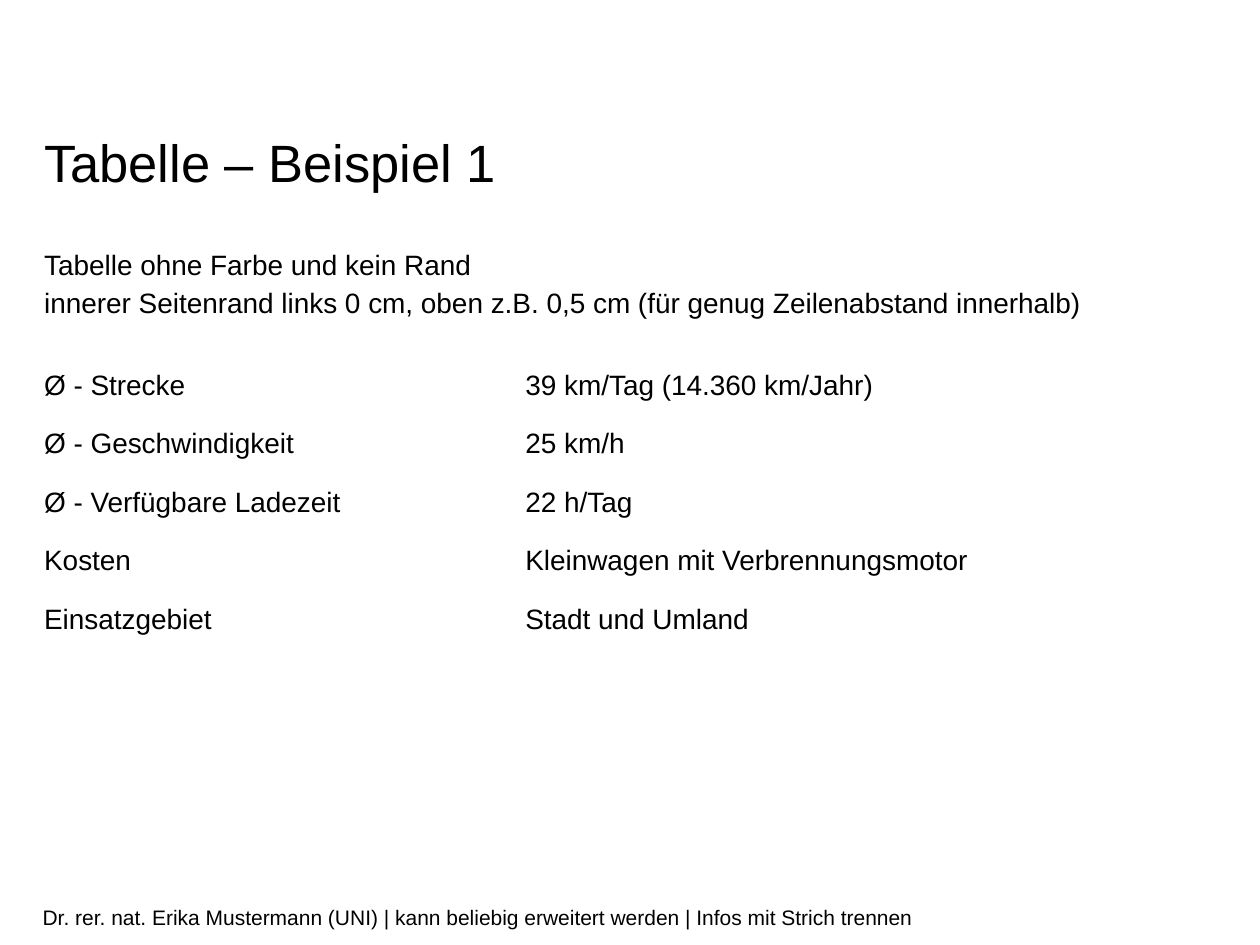
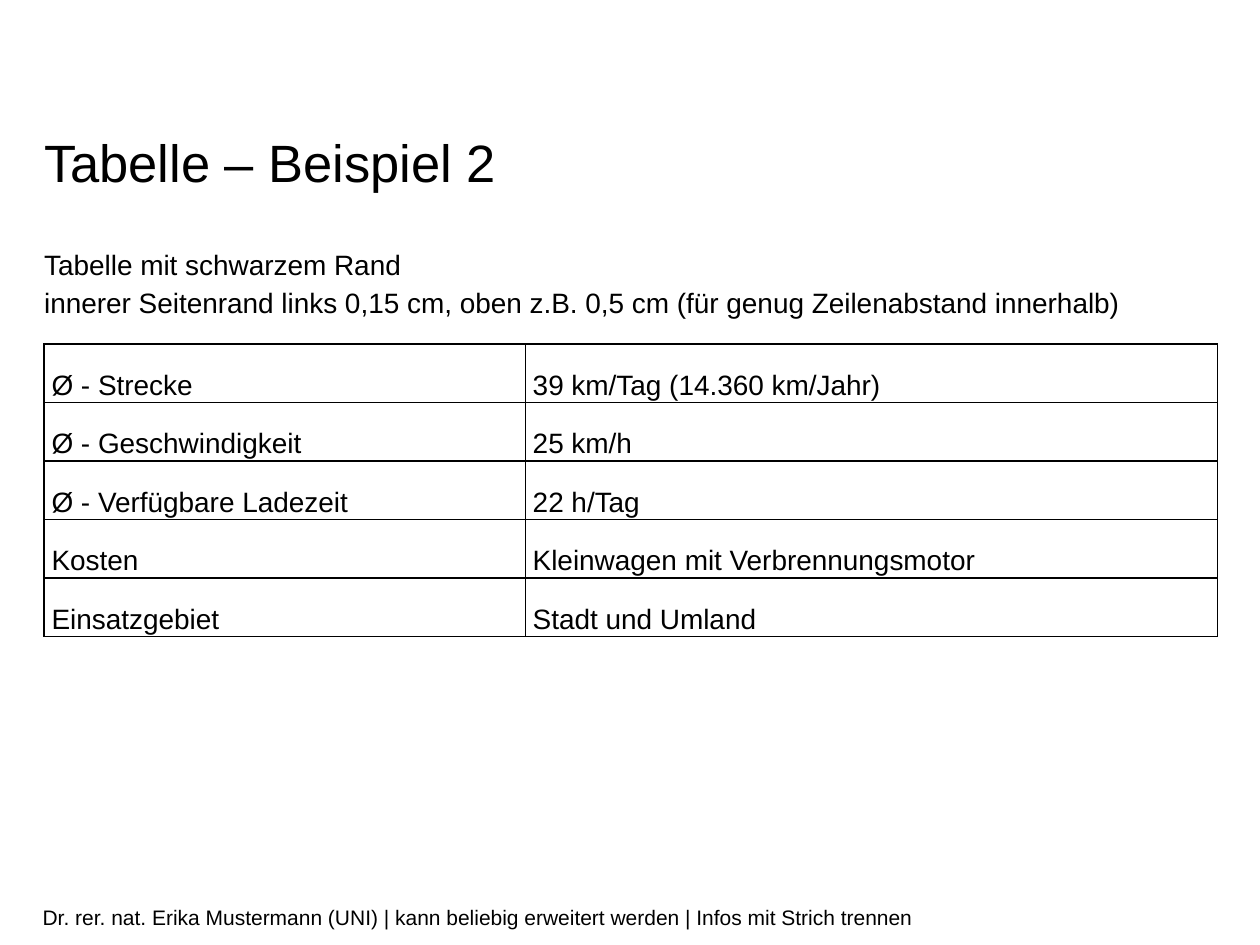
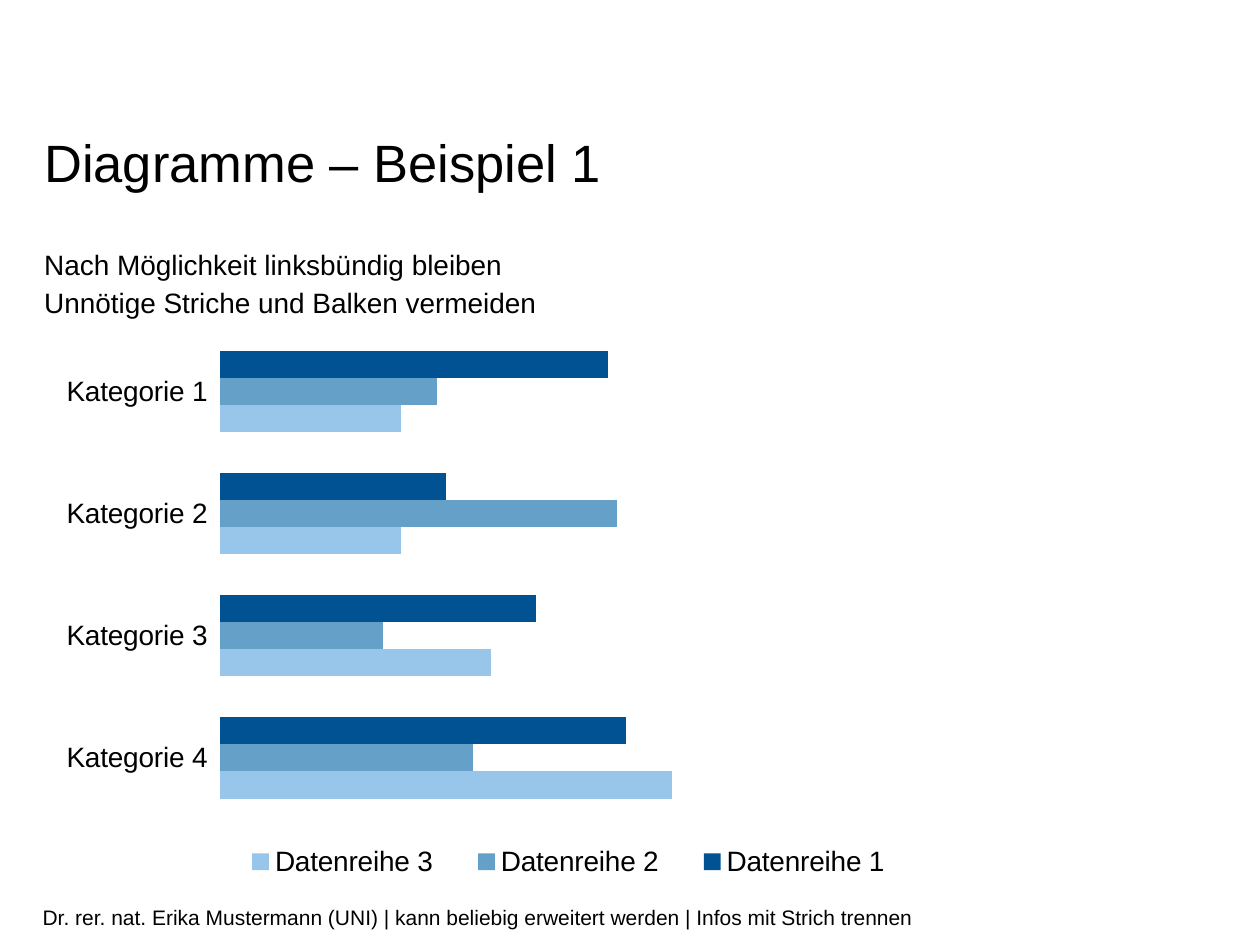
from lxml.etree import SubElement
from pptx import Presentation
from pptx.chart.data import CategoryChartData
from pptx.dml.color import RGBColor
from pptx.enum.chart import XL_CHART_TYPE as ChartType
from pptx.enum.chart import XL_LEGEND_POSITION as LegendPosition
from pptx.enum.chart import XL_TICK_MARK as TickMark
from pptx.enum.text import MSO_ANCHOR as Anchor
from pptx.enum.text import MSO_AUTO_SIZE as AutoSize
from pptx.enum.text import PP_ALIGN as Align
from pptx.oxml import parse_xml
from pptx.oxml.ns import nsdecls, qn
from pptx.util import Cm, Pt

# Content
FOOTER = "Dr. rer. nat. Erika Mustermann (UNI) | kann beliebig erweitert werden | Infos mit Strich trennen"
VEHICLE_ROWS = [
    ("Ø - Strecke", "39 km/Tag (14.360 km/Jahr)"),
    ("Ø - Geschwindigkeit", "25 km/h"),
    ("Ø - Verfügbare Ladezeit", "22 h/Tag"),
    ("Kosten", "Kleinwagen mit Verbrennungsmotor"),
    ("Einsatzgebiet", "Stadt und Umland"),
]
TABLE_SLIDES = [
    {
        "title": "Tabelle – Beispiel 1",
        "lines": ("Tabelle ohne Farbe und kein Rand",
                  "innerer Seitenrand links 0 cm, oben z.B. 0,5 cm (für genug Zeilenabstand innerhalb)"),
        "margin_left": 0,
        "border": None,
    },
    {
        "title": "Tabelle – Beispiel 2",
        "lines": ("Tabelle mit schwarzem Rand",
                  "innerer Seitenrand links 0,15 cm, oben z.B. 0,5 cm (für genug Zeilenabstand innerhalb)"),
        "margin_left": 0.15,
        "border": "000000",
    },
]
CHART_SLIDE = {
    "title": "Diagramme – Beispiel 1",
    "lines": ("Nach Möglichkeit linksbündig bleiben", "Unnötige Striche und Balken vermeiden"),
    "categories": [f"Kategorie {number}" for number in range(1, 5)],
    "series": [
        ("Datenreihe 1", (86, 50, 70, 90), "005293"),
        ("Datenreihe 2", (48, 88, 36, 56), "64A0C8"),
        ("Datenreihe 3", (40, 40, 60, 100), "98C6EA"),
    ],
}

# Shared style, lengths in centimetres
FONT, TEXT_COLOUR = "Arial", "000000"
TITLE_SIZE, BODY_SIZE, FOOTER_SIZE = 30, 16, 12
LEFT, WIDTH = 0.89, 23.65
TITLE_BOX = (LEFT, 2.77, WIDTH, 1.14)
BODY_BOX = (LEFT, 4.9, WIDTH, 1.98)
FOOTER_BOX = (0.86, 17.98, 17.96, 1.02)
TABLE_TOP, ROW_HEIGHT, COLUMN_WIDTHS = 6.93, 1.18, (9.7, 13.95)
CHART_BOX = (0.58, 6.63, WIDTH, 11.68)
# Fractions of the chart area: left, top, width, height
PLOT_LAYOUT = (0.163, 0.003, 0.462, 0.843)
LEGEND_LAYOUT = (0.16, 0.87, 0.6, 0.1)


def colour(hex_value):
    return RGBColor.from_string(hex_value)


def apply(target, values):
    for name, value in values.items():
        setattr(target, name, value)


def box(lengths):
    return [Cm(length) for length in lengths]


def style_font(font, size):
    apply(font, {"name": FONT, "size": Pt(size), "bold": False})
    font.color.rgb = colour(TEXT_COLOUR)


def write(shape, place, lines, size, frame_format, paragraph_format):
    """Place a text shape and fill it with one paragraph of broken lines."""
    apply(shape, dict(zip(("left", "top", "width", "height"), box(place))))
    frame = shape.text_frame
    apply(frame, {"word_wrap": True, "margin_left": 0, "margin_right": 0,
                  "margin_top": 0, "margin_bottom": 0, **frame_format})
    paragraph = frame.paragraphs[0]
    apply(paragraph, {"alignment": Align.LEFT, "space_before": Pt(0), **paragraph_format})
    for index, line in enumerate(lines):
        if index:
            paragraph.add_line_break()
        run = paragraph.add_run()
        run.text = line
        style_font(run.font, size)
    return paragraph


def add_slide(presentation, title, lines):
    """Add a slide with the shared title, introduction and footer."""
    slide = presentation.slides.add_slide(presentation.slide_layouts[1])
    write(slide.shapes.title, TITLE_BOX, [title], TITLE_SIZE,
          {"vertical_anchor": Anchor.TOP, "auto_size": AutoSize.SHAPE_TO_FIT_TEXT},
          {"line_spacing": Pt(32)})
    introduction = write(slide.placeholders[1], BODY_BOX, lines, BODY_SIZE,
                         {"vertical_anchor": Anchor.TOP, "auto_size": AutoSize.NONE},
                         {"line_spacing": 1.14})
    properties = introduction._p.get_or_add_pPr()
    properties.set("marL", "0")
    properties.set("indent", "0")
    SubElement(properties, qn("a:buNone"))
    footer = slide.shapes.add_textbox(*box(FOOTER_BOX))
    write(footer, FOOTER_BOX, [FOOTER], FOOTER_SIZE,
          {"vertical_anchor": Anchor.MIDDLE, "margin_top": Cm(0.13), "margin_bottom": Cm(0.13)}, {})
    return slide


def set_borders(cell, border):
    """Draw all four cell borders, or none."""
    line = f'<a:solidFill><a:srgbClr val="{border}"/></a:solidFill>' if border else "<a:noFill/>"
    properties = cell._tc.get_or_add_tcPr()
    for index, side in enumerate(("lnL", "lnR", "lnT", "lnB")):
        properties.insert(index, parse_xml(
            f'<a:{side} {nsdecls("a")} w="{Pt(1)}">{line}</a:{side}>'))


def add_vehicle_table(slide, margin_left, border):
    table = slide.shapes.add_table(
        len(VEHICLE_ROWS), len(COLUMN_WIDTHS),
        *box((LEFT, TABLE_TOP, WIDTH, ROW_HEIGHT * len(VEHICLE_ROWS)))).table
    apply(table, {"first_row": False, "horz_banding": False})
    for column, width in zip(table.columns, COLUMN_WIDTHS):
        column.width = Cm(width)
    for row, texts in zip(table.rows, VEHICLE_ROWS):
        row.height = Cm(ROW_HEIGHT)
        for cell, text in zip(row.cells, texts):
            apply(cell, {"text": text, "vertical_anchor": Anchor.MIDDLE,
                         "margin_left": Cm(margin_left), "margin_top": Cm(0.5),
                         "margin_right": 0, "margin_bottom": 0})
            style_font(cell.text_frame.paragraphs[0].runs[0].font, BODY_SIZE)
            cell.fill.background()
            set_borders(cell, border)


def set_layout(element, index, fractions, target=""):
    """Give a chart part a fixed place inside the chart area."""
    for old_layout in element.findall(qn("c:layout")):
        element.remove(old_layout)
    values = "".join(f'<c:{name} val="{value}"/>' for name, value in zip("xywh", fractions))
    element.insert(index, parse_xml(
        f'<c:layout {nsdecls("c")}><c:manualLayout>{target}'
        f'<c:xMode val="edge"/><c:yMode val="edge"/>{values}</c:manualLayout></c:layout>'))


def add_bar_chart(slide, categories, series_rows):
    data = CategoryChartData(number_format="General")
    data.categories = categories
    for name, values, _ in series_rows:
        data.add_series(name, values)
    chart = slide.shapes.add_chart(ChartType.BAR_CLUSTERED, *box(CHART_BOX), data).chart
    apply(chart, {"has_title": False, "has_legend": True})
    style_font(chart.font, BODY_SIZE)

    # Bars
    plot = chart.plots[0]
    apply(plot, {"gap_width": 150, "vary_by_categories": False})
    for series, (_, _, fill) in zip(plot.series, series_rows):
        series.format.fill.solid()
        series.format.fill.fore_color.rgb = colour(fill)

    # Axes
    apply(chart.category_axis, {"reverse_order": True, "has_major_gridlines": False,
                                "major_tick_mark": TickMark.OUTSIDE})
    chart.category_axis.format.line.fill.background()
    apply(chart.value_axis, {"visible": False, "has_major_gridlines": False,
                             "minimum_scale": 0, "maximum_scale": 120})

    # Plot area and legend
    apply(chart.legend, {"position": LegendPosition.RIGHT, "include_in_layout": False})
    style_font(chart.legend.font, BODY_SIZE)
    set_layout(chart.legend._element, 1, LEGEND_LAYOUT)
    set_layout(chart._chartSpace.chart.plotArea, 0, PLOT_LAYOUT,
               '<c:layoutTarget val="inner"/>')


def main():
    presentation = Presentation()
    apply(presentation, {"slide_width": Cm(25.4), "slide_height": Cm(19.05)})
    for content in TABLE_SLIDES:
        slide = add_slide(presentation, content["title"], content["lines"])
        add_vehicle_table(slide, content["margin_left"], content["border"])
    slide = add_slide(presentation, CHART_SLIDE["title"], CHART_SLIDE["lines"])
    add_bar_chart(slide, CHART_SLIDE["categories"], CHART_SLIDE["series"])
    presentation.save("out.pptx")


if __name__ == "__main__":
    main()
